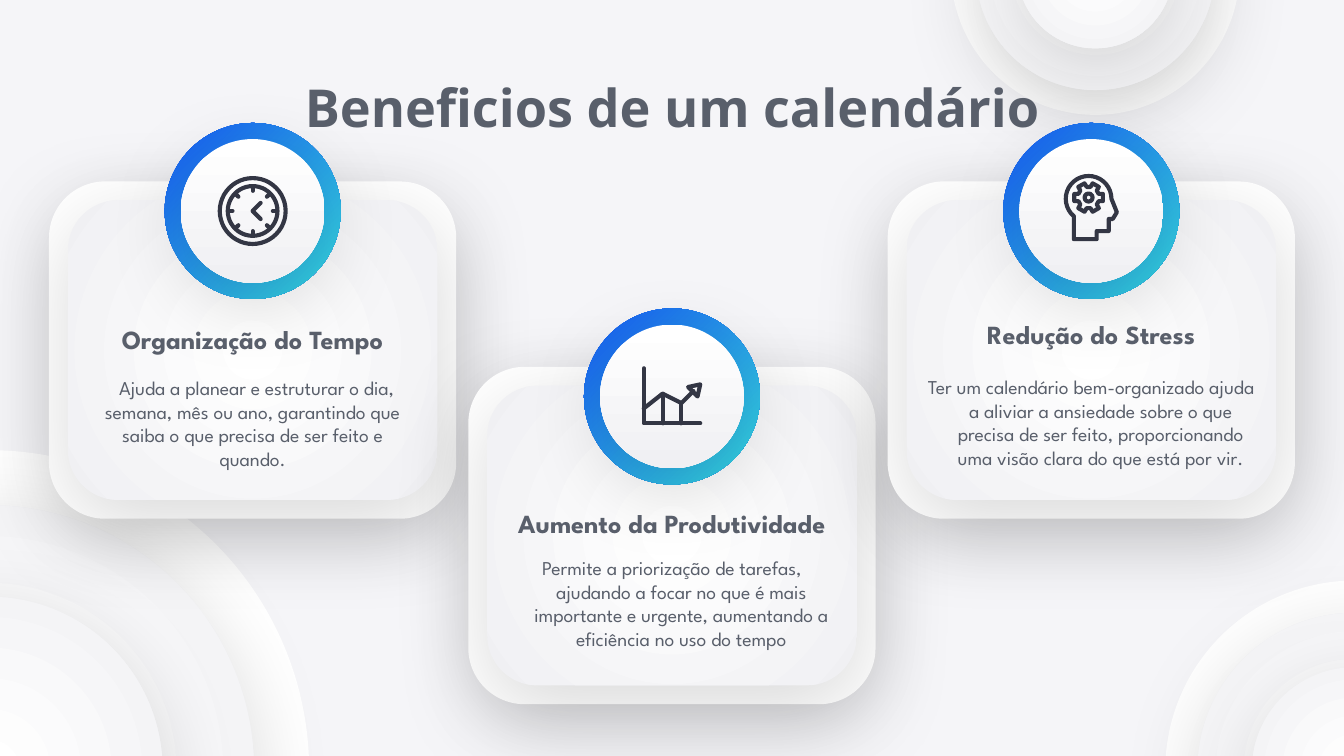
from math import cos, radians, sin

from lxml.etree import SubElement
from pptx import Presentation
from pptx.dml.color import RGBColor
from pptx.enum.shapes import MSO_CONNECTOR, MSO_SHAPE
from pptx.enum.text import MSO_ANCHOR, PP_ALIGN
from pptx.oxml.ns import qn
from pptx.util import Inches, Pt

# Content
TITLE = "Beneficios de um calendário"
# row: 0 upper, 1 lower; heading: top below card top; body: centre below card top
CARDS = [
    dict(title="Organização do Tempo", icon="clock", row=0, heading=0.97,
         body=1.8, width=2.64, margin=0, indent=0.06,
         text="Ajuda a planear e estruturar o dia, semana, mês ou ano, "
              "garantindo que saiba o que precisa de ser feito e quando."),
    dict(title="Aumento da Produtividade", icon="chart", row=1, heading=0.96,
         body=1.76, width=2.67, margin=0.14, indent=-0.14,
         text="Permite a priorização de tarefas, ajudando a focar no que é mais "
              "importante e urgente, aumentando a eficiência no uso do tempo"),
    dict(title="Redução do Stress", icon="head", row=0, heading=0.93,
         body=1.79, width=2.67, margin=0.14, indent=-0.14,
         text="Ter um calendário bem-organizado ajuda a aliviar a ansiedade sobre "
              "o que precisa de ser feito, proporcionando uma visão clara do que "
              "está por vir."),
]
# Corner rings: centre x, centre y, diameters from the outside in
RINGS = [
    (-0.08, 5.73, (4.76, 3.94, 2.58)),
    (10.08, 5.73, (2.82, 2.34, 1.53)),
    (8.15, -0.22, (2.15, 1.78, 1.16)),
]
COLORS = {"background": "F5F5F8", "white": "FFFFFF", "pearl": "F0F0F3",
          "blue": "1658F1", "cyan": "36DBE0", "text": "595F6B",
          "icon": "333644", "shadow": "000000"}
FONTS = {"title": "Open Sans", "body": "League Spartan"}

# Grid on a 16:9 slide
WIDTH = 10
HEIGHT = WIDTH * 9 / 16
CARD_W, CARD_H, INSET = 3.03, 2.51, 0.14
COLUMN_STEP = 3.12
LEFT = (WIDTH - CARD_W) / 2 - COLUMN_STEP
TOP, ROW_STEP = 1.35, 1.38
BADGE, BADGE_CORE, BADGE_RISE = 1.31, 1.07, 0.22
HEADING_W, HEADING_H, BODY_H = 2.67, 0.41, 1.07


def polar(cx, cy, radius, angle):
    return cx + radius * cos(radians(angle)), cy + radius * sin(radians(angle))


# Icon strokes around the badge centre: circles (x, y, diameter), open and closed paths
GEAR_X, GEAR_Y = -0.02, -0.1
GEAR = [polar(GEAR_X, GEAR_Y, radius, 60 * tooth + offset)
        for tooth in range(6)
        for radius, offset in ((0.08, -20), (0.11, -14), (0.11, 14), (0.08, 20))]
SKULL = [polar(-0.02, -0.09, 0.17, angle) for angle in range(130, 366, 10)]
FACE = [(0.19, 0.01), (0.16, 0.06), (0.13, 0.06), (0.13, 0.15),
        (0.04, 0.15), (0.04, 0.21), (-0.13, 0.21)]
TICKS = [[polar(0, 0, 0.15, angle), polar(0, 0, 0.17, angle)]
         for angle in range(0, 360, 45)]
ICONS = {
    "clock": dict(circles=[(0, 0, 0.49), (0, 0, 0.37)],
                  open=TICKS + [[(0.06, -0.06), (0, 0), (0.06, 0.06)]], closed=[]),
    "chart": dict(circles=[],
                  open=[[(-0.21, -0.21), (-0.21, 0.2), (0.21, 0.2)],
                        [(-0.21, 0.09), (-0.07, -0.02), (0.07, 0.05), (0.16, -0.04)],
                        [(-0.07, -0.02), (-0.07, 0.2)], [(0.07, 0.05), (0.07, 0.2)]],
                  closed=[[(0.12, -0.07), (0.21, -0.09), (0.19, 0)]]),
    "head": dict(circles=[(GEAR_X, GEAR_Y, 0.06)], open=[], closed=[SKULL + FACE, GEAR]),
}

deck = Presentation()
deck.slide_width, deck.slide_height = Inches(WIDTH), Inches(HEIGHT)
slide = deck.slides.add_slide(deck.slide_layouts[6])
shapes = slide.shapes


def color(name):
    return RGBColor.from_string(COLORS[name])


def add_shadow(shape):
    effects = shape._element.spPr.find(qn("a:effectLst"))
    shadow = SubElement(effects, qn("a:outerShdw"), blurRad=str(Pt(45)),
                        dist=str(Pt(11.2)), dir=str(85 * 60000),
                        algn="bl", rotWithShape="0")
    tint = SubElement(shadow, qn("a:srgbClr"), val=COLORS["shadow"])
    SubElement(tint, qn("a:alpha"), val="15000")


def add_panel(kind, cx, cy, width, height, fill, angle=None, shadow=False):
    """Centred shape; fill is one colour or two, radial unless an angle is given."""
    panel = shapes.add_shape(kind, Inches(cx - width / 2), Inches(cy - height / 2),
                             Inches(width), Inches(height))
    panel.line.fill.background()
    panel.shadow.inherit = False
    if len(fill) == 1:
        panel.fill.solid()
        panel.fill.fore_color.rgb = color(fill[0])
    else:
        panel.fill.gradient()
        for stop, name in zip(panel.fill.gradient_stops, fill):
            stop.color.rgb = color(name)
        if angle is not None:
            panel.fill.gradient_angle = 360 - angle
        else:
            gradient = panel._element.spPr.find(qn("a:gradFill"))
            gradient.remove(gradient.find(qn("a:lin")))
            radial = SubElement(gradient, qn("a:path"), path="circle")
            SubElement(radial, qn("a:fillToRect"),
                       dict.fromkeys("ltrb", "50000"))
    if shadow:
        add_shadow(panel)


def add_text(text, left, top, width, height, font, size, bold=False, margin=0, indent=0):
    frame = shapes.add_textbox(Inches(left), Inches(top),
                               Inches(width), Inches(height)).text_frame
    frame.word_wrap = True
    frame.vertical_anchor = MSO_ANCHOR.MIDDLE
    frame.margin_left = frame.margin_right = Inches(0.1)
    frame.margin_top = frame.margin_bottom = Inches(0.1)
    paragraph = frame.paragraphs[0]
    paragraph.alignment = PP_ALIGN.CENTER
    properties = paragraph._p.get_or_add_pPr()
    properties.set("marL", str(Inches(margin)))
    properties.set("indent", str(Inches(indent)))
    run = paragraph.add_run()
    run.text = text
    run.font.name, run.font.size, run.font.bold = FONTS[font], Pt(size), bold
    run.font.color.rgb = color("text")


def style_stroke(stroke):
    stroke.line.color.rgb = color("icon")
    stroke.line.width = Pt(2.2)
    outline = stroke.line._get_or_add_ln()
    outline.set("cap", "rnd")
    SubElement(outline, qn("a:round"))
    if stroke._element.spPr.find(qn("a:effectLst")) is None:
        SubElement(stroke._element.spPr, qn("a:effectLst"))


def add_path(points, cx, cy, close):
    points = [(Inches(cx + x), Inches(cy + y)) for x, y in points]
    if len(points) == 2:
        return shapes.add_connector(MSO_CONNECTOR.STRAIGHT, *points[0], *points[1])
    builder = shapes.build_freeform(*points[0])
    builder.add_line_segments(points[1:], close=close)
    path = builder.convert_to_shape()
    path.fill.background()
    return path


def add_icon(icon, cx, cy):
    for x, y, diameter in icon["circles"]:
        circle = shapes.add_shape(MSO_SHAPE.OVAL, Inches(cx + x - diameter / 2),
                                  Inches(cy + y - diameter / 2),
                                  Inches(diameter), Inches(diameter))
        circle.fill.background()
        style_stroke(circle)
    for kind in ("open", "closed"):
        for points in icon[kind]:
            style_stroke(add_path(points, cx, cy, kind == "closed"))


# Background and corner rings
slide.background.fill.solid()
slide.background.fill.fore_color.rgb = color("background")
for cx, cy, (outer, *inner) in RINGS:
    add_panel(MSO_SHAPE.OVAL, cx, cy, outer, outer, ["white"])
    for size in inner:
        add_panel(MSO_SHAPE.OVAL, cx, cy, size, size, ["white", "pearl"], shadow=True)

# Title
add_text(TITLE, 0.78, 0.59, 8.44, 0.41, "title", 28, bold=True)

# Cards with badge, icon and texts
for column, card in enumerate(CARDS):
    left, top = LEFT + column * COLUMN_STEP, TOP + card["row"] * ROW_STEP
    cx, cy = left + CARD_W / 2, top + CARD_H / 2
    add_panel(MSO_SHAPE.ROUNDED_RECTANGLE, cx, cy, CARD_W, CARD_H, ["white"], shadow=True)
    add_panel(MSO_SHAPE.ROUNDED_RECTANGLE, cx, cy, CARD_W - 2 * INSET,
              CARD_H - 2 * INSET, ["white", "pearl"], shadow=True)

    badge_y = top + BADGE_RISE
    add_panel(MSO_SHAPE.OVAL, cx, badge_y, BADGE, BADGE, ["blue", "cyan"], angle=45)
    add_panel(MSO_SHAPE.OVAL, cx, badge_y, BADGE_CORE, BADGE_CORE,
              ["white", "pearl"], angle=90, shadow=True)
    add_icon(ICONS[card["icon"]], cx, badge_y)

    add_text(card["title"], cx - HEADING_W / 2, top + card["heading"],
             HEADING_W, HEADING_H, "body", 14, bold=True)
    add_text(card["text"], cx - card["width"] / 2, top + card["body"] - BODY_H / 2,
             card["width"], BODY_H, "body", 10.5,
             margin=card["margin"], indent=card["indent"])

deck.save("out.pptx")
